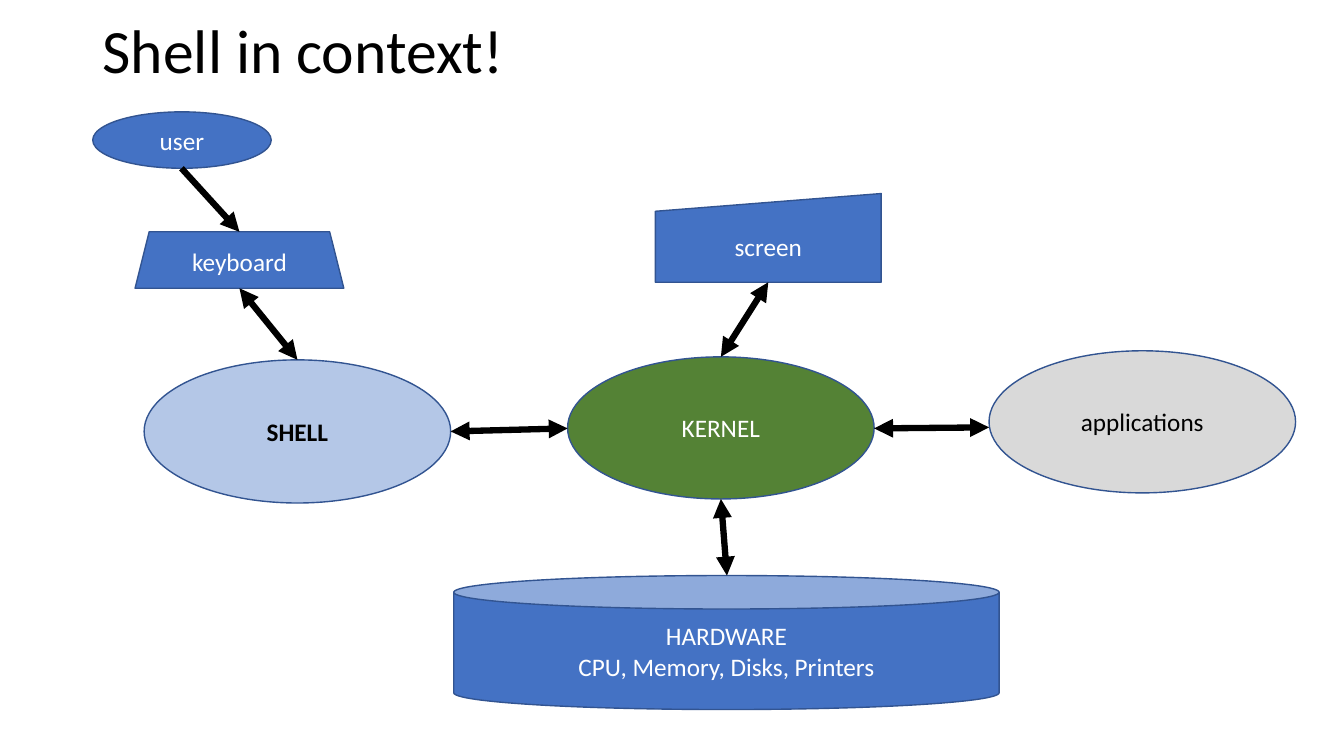
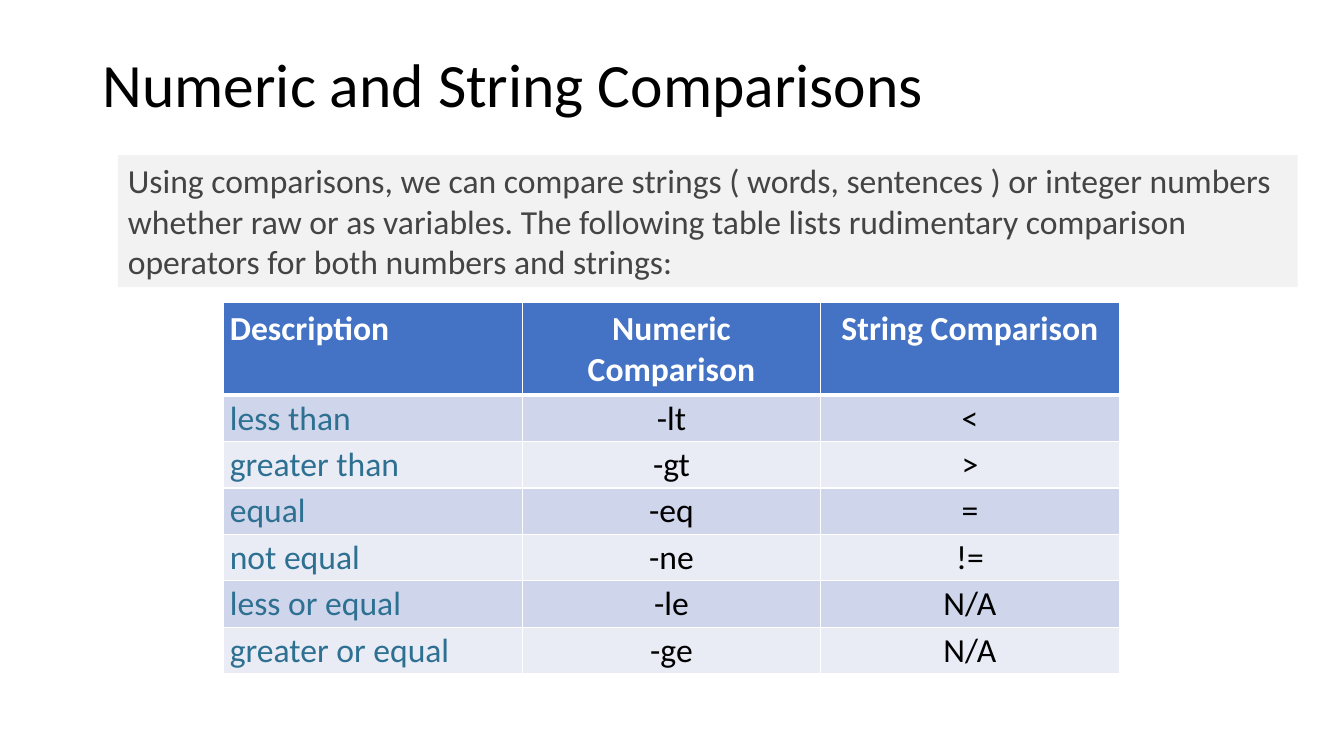
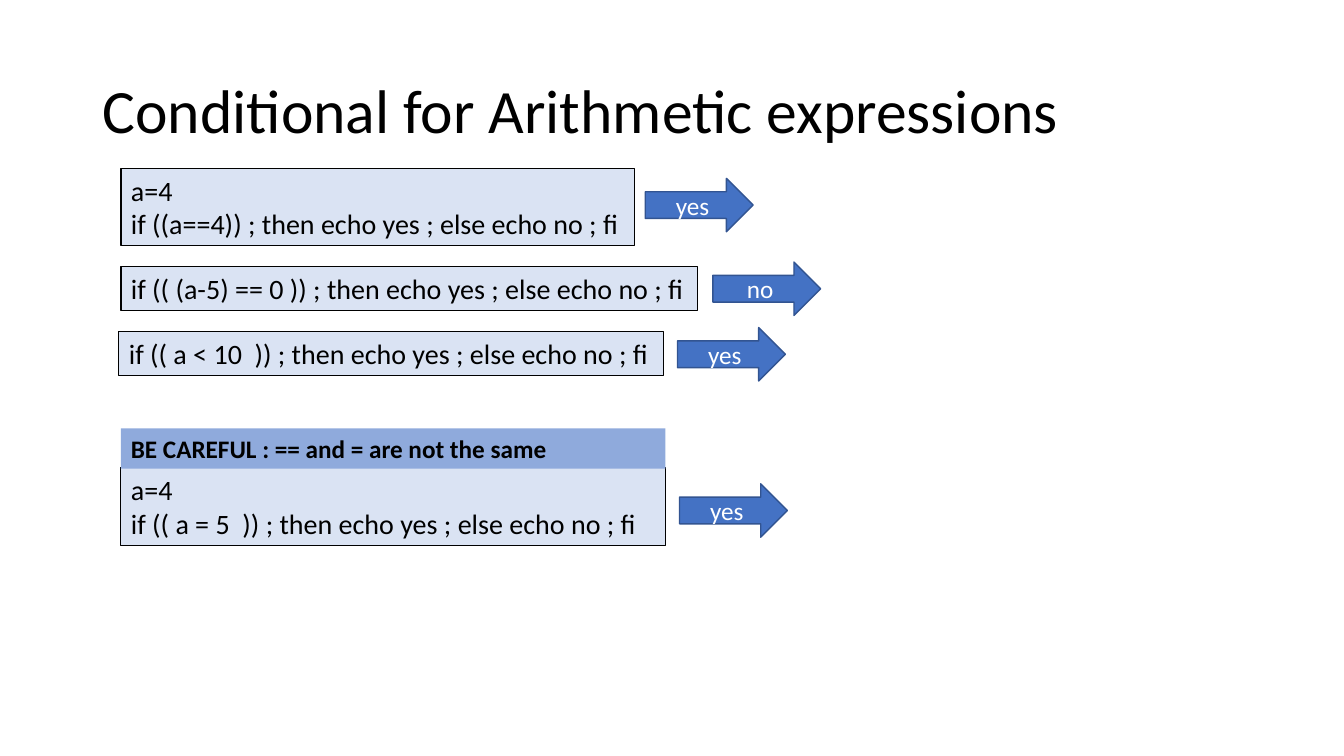
from lxml import etree
from pptx import Presentation
from pptx.dml.color import RGBColor
from pptx.enum.shapes import MSO_CONNECTOR, MSO_SHAPE as Kind
from pptx.enum.text import MSO_ANCHOR as Anchor, MSO_AUTO_SIZE as Fit, PP_ALIGN as Align
from pptx.oxml.ns import qn
from pptx.util import Inches, Pt

FONT = "Calibri"
COLORS = {
    "black": "000000",
    "white": "FFFFFF",
    "blue": "4472C4",
    "outline": "325491",
    "shell": "B4C7E7",
    "kernel": "548235",
    "apps": "D9D9D9",
    "note": "F2F2F2",
    "note_text": "444444",
    "label": "2D7091",
    "band_dark": "CFD5EA",
    "band_light": "E9EBF5",
    "code": "DAE3F3",
    "warning": "8FAADC",
}


def write(frame, lines, size, color, bold=False, align=Align.LEFT):
    for index, line in enumerate(lines):
        para = frame.paragraphs[0] if index == 0 else frame.add_paragraph()
        para.alignment = align
        span = para.add_run()
        span.text = line
        span.font.name = FONT
        span.font.size = Pt(size)
        span.font.bold = bold
        span.font.color.rgb = RGBColor.from_string(COLORS[color])


def add_box(parent, kind, at, fill, line, lines, size=18, color="white", bold=False,
            align=Align.CENTER, anchor=Anchor.MIDDLE, wrap=True, fit=Fit.NONE):
    box = parent.shapes.add_shape(kind, *[Inches(value) for value in at])
    box.shadow.inherit = False
    box.fill.solid()
    box.fill.fore_color.rgb = RGBColor.from_string(COLORS[fill])
    if line:
        box.line.color.rgb = RGBColor.from_string(COLORS[line])
        box.line.width = Pt(1 if line == "outline" else 0.75)
    else:
        box.line.fill.background()
    frame = box.text_frame
    frame.word_wrap = wrap
    frame.auto_size = fit
    frame.vertical_anchor = anchor
    write(frame, lines, size, color, bold, align)
    return box


deck = Presentation()
deck.slide_width = Inches(13.33)
deck.slide_height = Inches(7.5)

titles = [
    ("Shell in context!", 0.09, 0.88),
    ("Numeric and String Comparisons", 0.14, 1.45),
    ("Conditional for Arithmetic expressions", 0.4, 1.45),
]
pages = []
for text, top, height in titles:
    page = deck.slides.add_slide(deck.slide_layouts[6])
    title = page.shapes.add_textbox(Inches(0.92), Inches(top), Inches(11.5), Inches(height))
    title.text_frame.word_wrap = True
    title.text_frame.vertical_anchor = Anchor.MIDDLE
    write(title.text_frame, [text], 44, "black")
    title.text_frame.paragraphs[0].line_spacing = 0.9
    pages.append(page)
context, comparisons, conditionals = pages

parts = [
    ("keyboard", Kind.TRAPEZOID, (1.34, 2.3, 2.07, 0.56), "blue", "white"),
    ("user", Kind.OVAL, (0.92, 1.11, 1.77, 0.56), "blue", "white"),
    ("SHELL", Kind.OVAL, (1.43, 3.57, 3.04, 1.42), "shell", "black"),
    ("KERNEL", Kind.OVAL, (5.63, 3.54, 3.04, 1.41), "kernel", "white"),
    ("HARDWARE\nCPU, Memory, Disks, Printers", Kind.CAN, (4.5, 5.71, 5.41, 1.33), "blue", "white"),
    ("applications", Kind.OVAL, (9.81, 3.48, 3.04, 1.41), "apps", "black"),
    ("screen", Kind.FLOWCHART_MANUAL_INPUT, (6.5, 1.92, 2.24, 0.88), "blue", "white"),
]
nodes = {}
for text, kind, at, fill, color in parts:
    nodes[text] = add_box(context, kind, at, fill, "outline", text.split("\n"),
                          color=color, bold=text == "SHELL")

arrows = [
    ((1.8, 1.67, 2.38, 2.3), None, ("keyboard", 0), False),
    ((2.38, 2.87, 2.95, 3.57), ("keyboard", 2), ("SHELL", 0), True),
    ((4.47, 4.28, 5.63, 4.25), None, None, True),
    ((7.15, 3.54, 7.62, 2.79), ("KERNEL", 0), ("screen", 2), True),
    ((8.67, 4.25, 9.81, 4.24), None, None, True),
    ((7.15, 4.95, 7.21, 5.71), None, None, True),
]
for ends, start, finish, two_way in arrows:
    arrow = context.shapes.add_connector(MSO_CONNECTOR.STRAIGHT, *[Inches(value) for value in ends])
    if start:
        arrow.begin_connect(nodes[start[0]], start[1])
    if finish:
        arrow.end_connect(nodes[finish[0]], finish[1])
    arrow.line.color.rgb = RGBColor.from_string(COLORS["black"])
    arrow.line.width = Pt(4.5)
    stroke = arrow.line._get_or_add_ln()
    for tag in ["a:headEnd", "a:tailEnd"] if two_way else ["a:tailEnd"]:
        etree.SubElement(stroke, qn(tag), type="triangle")
    etree.SubElement(arrow._element.spPr, qn("a:effectLst"))

add_box(comparisons, Kind.RECTANGLE, (1.17, 1.54, 11.7, 1.31), "note", None,
        ["Using comparisons, we can compare strings ( words, sentences ) or integer numbers "
         "whether raw or as variables. The following table lists rudimentary comparison "
         "operators for both numbers and strings:"],
        24, "note_text", align=Align.LEFT, anchor=Anchor.TOP, fit=Fit.SHAPE_TO_FIT_TEXT)

rows = [
    ("Description", "Numeric Comparison", "String Comparison"),
    ("less than", "-lt", "<"),
    ("greater than", "-gt", ">"),
    ("equal", "-eq", "="),
    ("not equal", "-ne", "!="),
    ("less or equal", "-le", "N/A"),
    ("greater or equal", "-ge", "N/A"),
]
table = comparisons.shapes.add_table(len(rows), 3, Inches(2.22), Inches(3),
                                     Inches(8.88), Inches(3.64)).table
for column in table.columns:
    column.width = Inches(2.96)
for r, texts in enumerate(rows):
    header = r == 0
    table.rows[r].height = Inches(0.9 if header else 0.45)
    fill = "blue" if header else ("band_light", "band_dark")[r % 2]
    for c, text in enumerate(texts):
        cell = table.cell(r, c)
        cell.margin_left = cell.margin_right = Inches(0.06)
        cell.margin_top = cell.margin_bottom = Inches(0.06 if header else 0.03)
        cell.vertical_anchor = Anchor.TOP if header else Anchor.MIDDLE
        color = "white" if header else "label" if c == 0 else "black"
        write(cell.text_frame, [text], 24, color, header, Align.LEFT if c == 0 else Align.CENTER)
        properties = cell._tc.get_or_add_tcPr()
        for side in "LRTB":
            thick = (side, r) in [("B", 0), ("T", 1)]
            border = etree.SubElement(properties, qn("a:ln" + side), w=str(Pt(3 if thick else 1)))
            solid = etree.SubElement(border, qn("a:solidFill"))
            etree.SubElement(solid, qn("a:srgbClr"), val=COLORS["white"])
        cell.fill.solid()
        cell.fill.fore_color.rgb = RGBColor.from_string(COLORS[fill])

examples = [
    ((1.2, 1.67, 5.09, 0.77), ["a=4", "if ((a==4)) ; then echo yes ; else echo no ; fi"],
     (6.4, 1.77), "yes"),
    ((1.2, 2.64, 5.72, 0.44), ["if (( (a-5) == 0 )) ; then echo yes ; else echo no ; fi"],
     (7.07, 2.6), "no"),
    ((1.18, 3.29, 5.4, 0.44), ["if (( a < 10  )) ; then echo yes ; else echo no ; fi"],
     (6.72, 3.25), "yes"),
    ((1.2, 4.64, 5.4, 0.77), ["a=4", "if (( a = 5  )) ; then echo yes ; else echo no ; fi"],
     (6.74, 4.8), "yes"),
]
for at, code, arrow_corner, answer in examples:
    group = conditionals.shapes.add_group_shape()
    add_box(group, Kind.RECTANGLE, at, "code", "black", code, 20, "black", align=Align.LEFT,
            anchor=Anchor.TOP, wrap=False, fit=Fit.SHAPE_TO_FIT_TEXT)
    add_box(group, Kind.RIGHT_ARROW, (*arrow_corner, 1.07, 0.53), "blue", "outline", [answer])
add_box(group, Kind.RECTANGLE, (1.2, 4.25, 5.4, 0.4), "warning", None,
        ["BE CAREFUL : == and = are not the same"], 18, "black", True, Align.LEFT,
        Anchor.TOP, fit=Fit.SHAPE_TO_FIT_TEXT)

deck.save("out.pptx")
